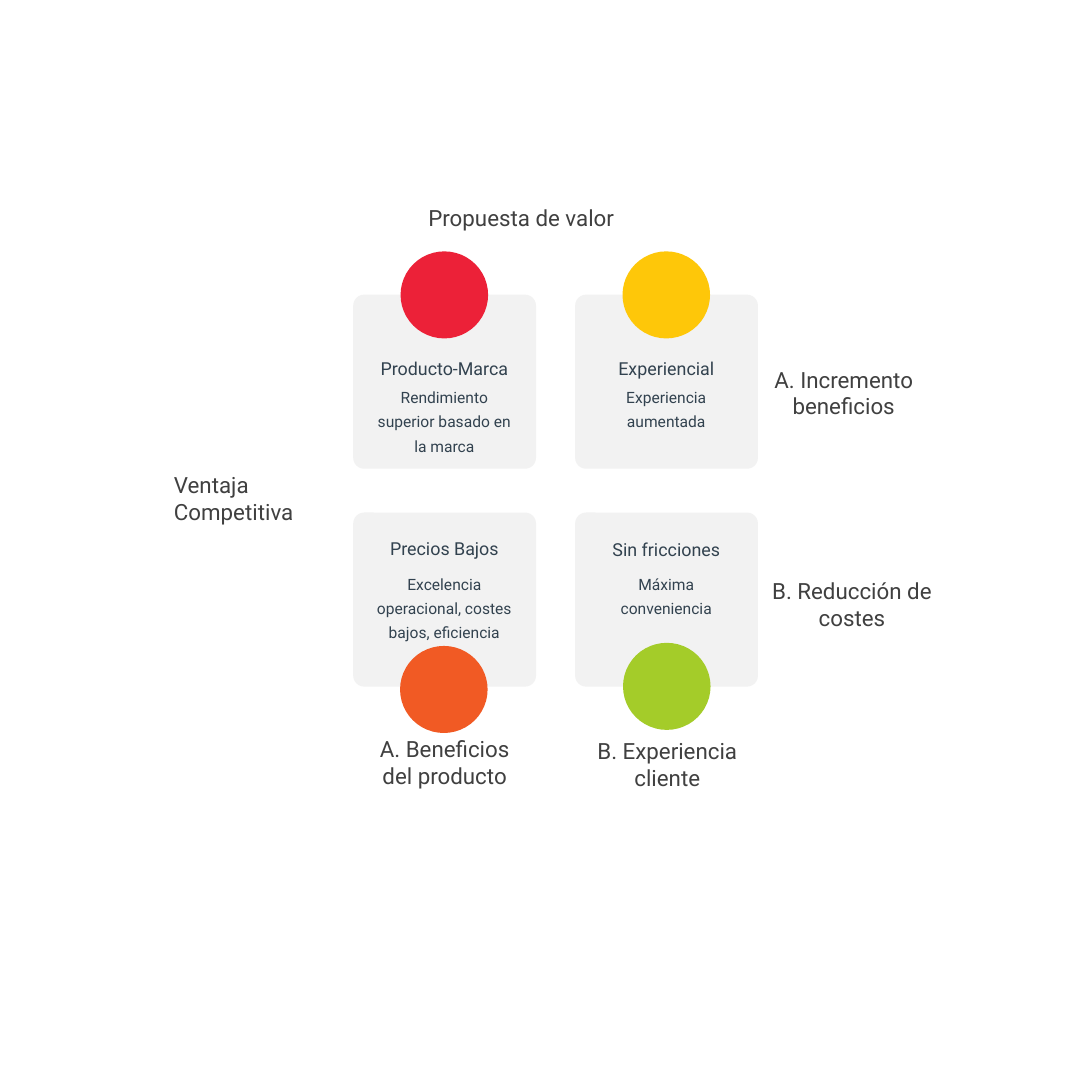
from dataclasses import dataclass

from pptx import Presentation
from pptx.dml.color import RGBColor
from pptx.enum.shapes import MSO_SHAPE
from pptx.enum.text import MSO_ANCHOR, PP_ALIGN
from pptx.util import Inches, Pt

ROUNDED, CIRCLE = MSO_SHAPE.ROUNDED_RECTANGLE, MSO_SHAPE.OVAL
TOP, MIDDLE = MSO_ANCHOR.TOP, MSO_ANCHOR.MIDDLE
LEFT, CENTER = PP_ALIGN.LEFT, PP_ALIGN.CENTER


@dataclass(frozen=True)
class Theme:
    font: str = "Roboto"
    card: str = "F2F2F2"
    card_text: str = "32424F"
    axis_text: str = "404040"
    red: str = "EC2138"
    yellow: str = "FEC709"
    orange: str = "F15A24"
    green: str = "A4CC29"
    title_size: float = 25
    body_size: float = 21.8
    axis_size: float = 31.2


THEME = Theme()
CARD_WIDTH, CARD_HEIGHT = 3.55, 3.38
COLUMN_LEFTS = (6.86, 11.17)
ROW_TOPS = (5.72, 9.95)
TEXT_INDENT, TEXT_WIDTH = 0.45, 2.64
BODY_TOPS = (7.42, 11.05)

# column, row, title, title top, body, circle colour, circle left and top
QUADRANTS = [
    (1, 0, "Experiencial", 6.95, "Experiencia aumentada",
     THEME.yellow, 12.09, 4.88),
    (0, 0, "Producto-Marca", 6.95, "Rendimiento superior basado en la marca",
     THEME.red, 7.78, 4.88),
    (0, 1, "Precios Bajos", 10.43,
     "Excelencia operacional, costes bajos, eficiencia",
     THEME.orange, 7.77, 12.54),
    (1, 1, "Sin fricciones", 10.46, "Máxima conveniencia",
     THEME.green, 12.1, 12.48),
]

PADDED, FLUSH = (0.1, 0.05), (0, 0)

# lines, box, alignment, margins
AXIS_LABELS = [
    (["A. Beneficios", "del producto"], (6.53, 14.23, 4.21, 1.15), CENTER, PADDED),
    (["B. Experiencia cliente"], (11.36, 14.27, 3.2, 1.15), CENTER, PADDED),
    (["A. Incremento beneficios"], (14.71, 7.1, 3.35, 1.05), CENTER, FLUSH),
    (["B. Reducción de costes"], (14.87, 11.2, 3.35, 1.05), CENTER, FLUSH),
    (["Propuesta de valor"], (8.22, 3.92, 4.39, 0.63), LEFT, PADDED),
    (["Ventaja Competitiva"], (3.28, 9.1, 3.2, 1.15), LEFT, PADDED),
]


def apply_format(target, values):
    for name, value in values.items():
        setattr(target, name, value)


class MatrixSlide:
    def __init__(self, slide, theme):
        self.slide = slide
        self.theme = theme

    def shape(self, kind, box, color):
        shape = self.slide.shapes.add_shape(kind, *map(Inches, box))
        shape.shadow.inherit = False
        shape.fill.solid()
        shape.fill.fore_color.rgb = RGBColor.from_string(color)
        shape.line.fill.background()
        return shape

    def card(self, left, top):
        card = self.shape(ROUNDED, (left, top, CARD_WIDTH, CARD_HEIGHT),
                          self.theme.card)
        card.adjustments[0] = 0.063

    def circle(self, left, top, color):
        self.shape(CIRCLE, (left, top, 1.7, 1.69), color)

    def text(self, lines, box, size, color, align=CENTER, margins=FLUSH,
             anchor=TOP, spacing=1.0):
        frame = self.slide.shapes.add_textbox(*map(Inches, box)).text_frame
        side, edge = map(Inches, margins)
        apply_format(frame, {
            "word_wrap": True, "vertical_anchor": anchor,
            "margin_left": side, "margin_right": side,
            "margin_top": edge, "margin_bottom": edge,
            "text": "\n".join(lines),
        })
        for paragraph in frame.paragraphs:
            apply_format(paragraph, {"alignment": align, "line_spacing": spacing})
            for run in paragraph.runs:
                apply_format(run.font, {"name": self.theme.font, "size": Pt(size)})
                run.font.color.rgb = RGBColor.from_string(color)

    def quadrant_text(self, left, title, title_top, body, body_top):
        color = self.theme.card_text
        self.text([title], (left, title_top, TEXT_WIDTH, 0.42),
                  self.theme.title_size, color, anchor=MIDDLE)
        self.text([body], (left, body_top, TEXT_WIDTH, 1.04),
                  self.theme.body_size, color, spacing=1.3)

    def axis_label(self, lines, box, align, margins):
        self.text(lines, box, self.theme.axis_size, self.theme.axis_text,
                  align, margins)


def main():
    presentation = Presentation()
    presentation.slide_width = Inches(20.8)
    presentation.slide_height = Inches(21.2)
    blank = presentation.slide_layouts[6]
    matrix = MatrixSlide(presentation.slides.add_slide(blank), THEME)

    for column, row, title, title_top, body, *_ in QUADRANTS:
        left = COLUMN_LEFTS[column]
        matrix.card(left, ROW_TOPS[row])
        matrix.quadrant_text(left + TEXT_INDENT, title, title_top,
                             body, BODY_TOPS[row])
    for *_, color, left, top in QUADRANTS:
        matrix.circle(left, top, color)
    for label in AXIS_LABELS:
        matrix.axis_label(*label)

    presentation.save("out.pptx")


if __name__ == "__main__":
    main()
